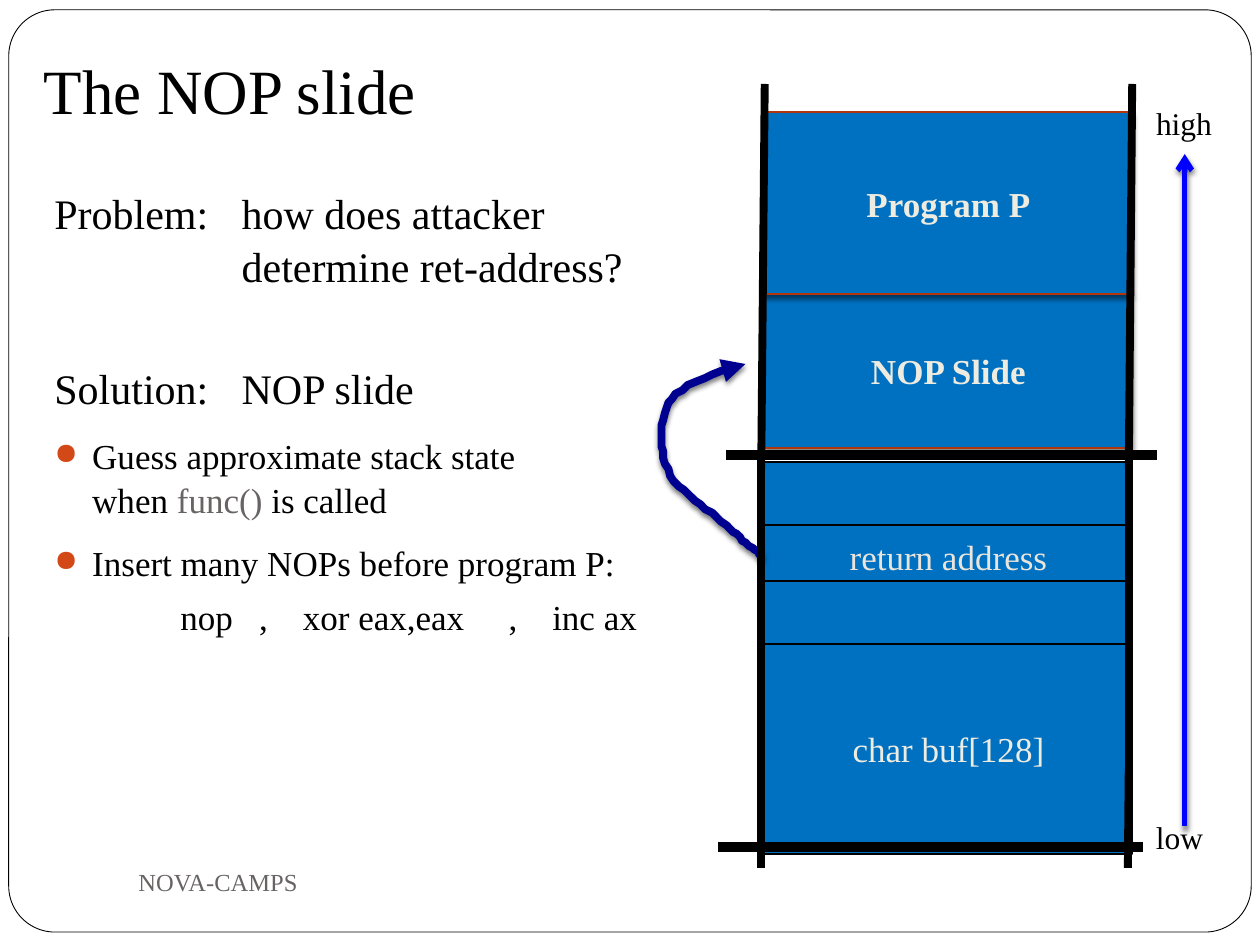
from lxml import etree
from pptx import Presentation
from pptx.dml.color import RGBColor
from pptx.enum.shapes import MSO_CONNECTOR, MSO_SHAPE
from pptx.enum.text import MSO_ANCHOR, PP_ALIGN
from pptx.oxml import parse_xml
from pptx.oxml.ns import nsdecls, qn
from pptx.util import Pt

FONT = "Times New Roman"
COLORS = {
    "black": "000000", "white": "FFFFFF", "cell": "0070C0", "cell_text": "EEECE1",
    "return_text": "E9E5DC", "rust": "B1360B", "bullet": "D34817", "gray": "696464",
    "navy": "000090", "blue": "0000FF",
}
COLORS = {name: RGBColor.from_string(value) for name, value in COLORS.items()}


def style_line(shape, color, width, head=None, shadow=False):
    """Set the outline, its arrowhead and the shadow of a shape or connector."""
    shape.line.color.rgb = COLORS[color]
    shape.line.width = Pt(width)
    if head:
        etree.SubElement(shape.line._get_or_add_ln(), qn("a:tailEnd"), type=head)
    properties = shape._element.spPr
    for effects in properties.findall(qn("a:effectLst")):
        properties.remove(effects)
    outer = ('<a:outerShdw blurRad="38100" dist="25400" dir="5400000" rotWithShape="0">'
             '<a:srgbClr val="000000"><a:alpha val="50000"/></a:srgbClr></a:outerShdw>')
    properties.append(parse_xml(
        f'<a:effectLst {nsdecls("a")}>{outer if shadow else ""}</a:effectLst>'))


def add_text(left, top, width, height, text, size, color="black", wrap=True):
    """Add a text box and return its frame."""
    frame = slide.shapes.add_textbox(Pt(left), Pt(top), Pt(width), Pt(height)).text_frame
    frame.word_wrap = wrap
    paragraph = frame.paragraphs[0]
    paragraph.text = text
    paragraph.font.name, paragraph.font.size = FONT, Pt(size)
    paragraph.font.color.rgb = COLORS[color]
    return frame


presentation = Presentation()
presentation.slide_width, presentation.slide_height = Pt(720), Pt(540)
slide = presentation.slides.add_slide(presentation.slide_layouts[6])

# Rounded page border
border = slide.shapes.add_shape(
    MSO_SHAPE.ROUNDED_RECTANGLE, Pt(5), Pt(5.6), Pt(710), Pt(527))
border.adjustments[0] = 0.05
border.fill.solid()
border.fill.fore_color.rgb = COLORS["white"]
style_line(border, "black", 0.5)

# Title and footer
title = add_text(18, 24, 312, 56, "The NOP slide", 36)
title.vertical_anchor = MSO_ANCHOR.BOTTOM
title.margin_bottom = Pt(7.2)
footer = add_text(72, 486, 312, 36, "NOVA-CAMPS", 14, "gray")
footer.vertical_anchor = MSO_ANCHOR.MIDDLE

# Body: text pieces with colour, size, space before, bullet, tab stops
body_lines = [
    ([("Problem:\thow does attacker\v\tdetermine ret-address?", "black")], 24, 0, False, [107]),
    ([("Solution:\tNOP slide", "black")], 24, 40, False, [107]),
    ([("Guess approximate stack state\vwhen ", "black"), ("func()", "gray"),
      (" is called", "black")], 20, 10.8, True, []),
    ([("Insert many NOPs before program P:", "black")], 20, 10.8, True, []),
    ([("\tnop\t,\txor eax,eax\t,\tinc ax", "black")], 20, 5.8, False,
     [72, 117, 142, 259.5, 284.5]),
]
body = slide.shapes.add_textbox(Pt(24), Pt(102), Pt(360), Pt(384)).text_frame
body.word_wrap = True
for index, (pieces, size, space, bullet, tabs) in enumerate(body_lines):
    paragraph = body.add_paragraph() if index else body.paragraphs[0]
    paragraph.font.name, paragraph.font.size = FONT, Pt(size)
    paragraph.space_before, paragraph.line_spacing = Pt(space), 1.05
    for text, color in pieces:
        for part, line in enumerate(text.split("\v")):
            if part:
                paragraph.add_line_break()
            run = paragraph.add_run()
            run.text = line
            run.font.name, run.font.size = FONT, Pt(size)
            run.font.color.rgb = COLORS[color]
    settings = paragraph._p.get_or_add_pPr()
    extras = []
    if bullet:
        settings.set("marL", str(Pt(21.6)))
        settings.set("indent", str(-Pt(21.6)))
        extras = [f'<a:buClr {nsdecls("a")}><a:srgbClr val="{COLORS["bullet"]}"/></a:buClr>',
                  f'<a:buSzPct {nsdecls("a")} val="85000"/>',
                  f'<a:buChar {nsdecls("a")} char="●"/>']
    elif tabs:
        stops = "".join(f'<a:tab pos="{Pt(stop)}" algn="l"/>' for stop in tabs)
        extras = [f'<a:tabLst {nsdecls("a")}>{stops}</a:tabLst>']
    defaults = settings.find(qn("a:defRPr"))
    for extra in extras:
        defaults.addprevious(parse_xml(extra))

# Stack cells: top, height, label, label colour, upper part
stack_cells = [
    (264, 36, "", "cell_text", False),
    (368, 120, "char buf[128]", "cell_text", False),
    (300, 36, "return address", "return_text", False),
    (332, 36, "", "cell_text", False),
    (168, 88, "NOP Slide", "cell_text", True),
    (64, 104, "Program P", "cell_text", True),
]
for top, height, label, color, upper in stack_cells:
    cell = slide.shapes.add_shape(MSO_SHAPE.RECTANGLE, Pt(437), Pt(top), Pt(210), Pt(height))
    cell.fill.solid()
    cell.fill.fore_color.rgb = COLORS["cell"]
    style_line(cell, "rust" if upper else "black", 0.75, shadow=upper)
    if label:
        cell.text_frame.vertical_anchor = MSO_ANCHOR.MIDDLE
        paragraph = cell.text_frame.paragraphs[0]
        paragraph.text = label
        paragraph.alignment = PP_ALIGN.CENTER
        if not upper:
            paragraph.space_before = Pt(10)
        paragraph.font.name, paragraph.font.size = FONT, Pt(20)
        paragraph.font.bold = upper
        paragraph.font.color.rgb = COLORS[color]

# Curved arrow from the return address to the NOP slide
start = (435.6, 318)
curves = [
    ((430, 313), (423, 308), (415, 300)),
    ((405.5, 291.5), (387, 281), (381.5, 268.5)),
    ((376.5, 256), (376.5, 237.5), (384, 227.5)),
    ((391, 217.5), (425.5, 208), (425.5, 208)),
]
points, steps = [], 12
for control_1, control_2, end in curves:
    for step in range(1, steps + 1):
        t = step / steps
        points.append(tuple(
            (1 - t) ** 3 * a + 3 * (1 - t) ** 2 * t * b + 3 * (1 - t) * t ** 2 * c + t ** 3 * d
            for a, b, c, d in zip(start, control_1, control_2, end)))
    start = end
builder = slide.shapes.build_freeform(435.6, 318, scale=Pt(1))
builder.add_line_segments(points, close=False)
jump = builder.convert_to_shape()
jump.fill.background()
style_line(jump, "navy", 4.5, "triangle", shadow=True)

# Stack frame
frame_box = slide.shapes.add_shape(MSO_SHAPE.RECTANGLE, Pt(435), Pt(260), Pt(210), Pt(224))
frame_box.fill.background()
style_line(frame_box, "black", 4.5)

# Frame bars, side rails and the address direction arrow
lines = [
    (410.5, 484, 653, 484, "black", 6, None),
    (415, 260, 661, 260, "black", 6, None),
    (435, 439, 435, 496, "black", 4.5, None),
    (645, 439, 644.5, 496, "black", 4.5, None),
    (437, 48, 435, 268, "black", 4.5, None),
    (647, 48, 645, 268, "black", 4.5, None),
    (677, 472, 677, 88, "blue", 3, "arrow"),
]
for x1, y1, x2, y2, color, width, head in lines:
    connector = slide.shapes.add_connector(
        MSO_CONNECTOR.STRAIGHT, Pt(x1), Pt(y1), Pt(x2), Pt(y2))
    style_line(connector, color, width, head, shadow=bool(head))

# Address labels
add_text(653.5, 464, 42, 29, "low", 18, wrap=False)
add_text(653.5, 56, 49, 29, "high", 18, wrap=False)

presentation.save("out.pptx")
